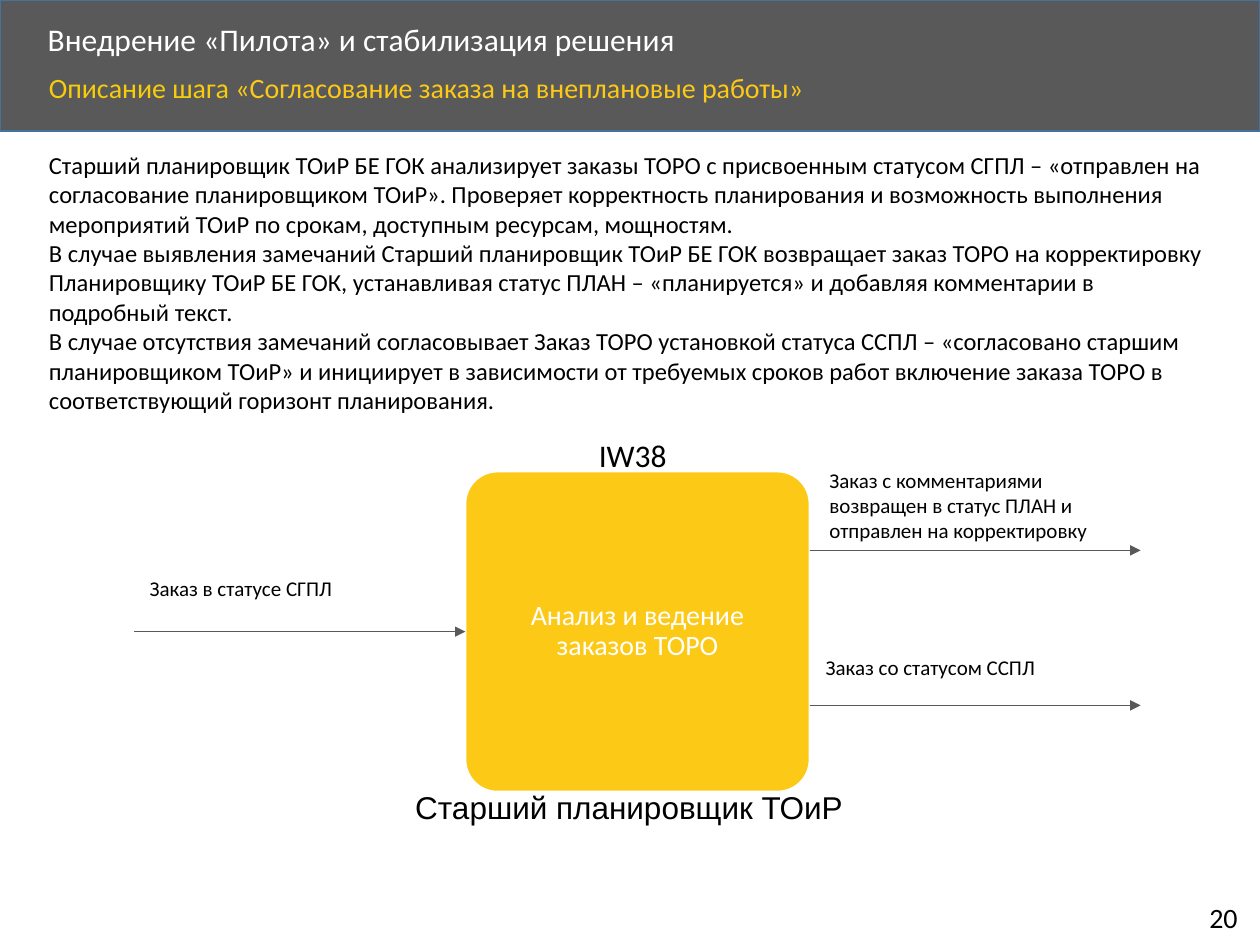
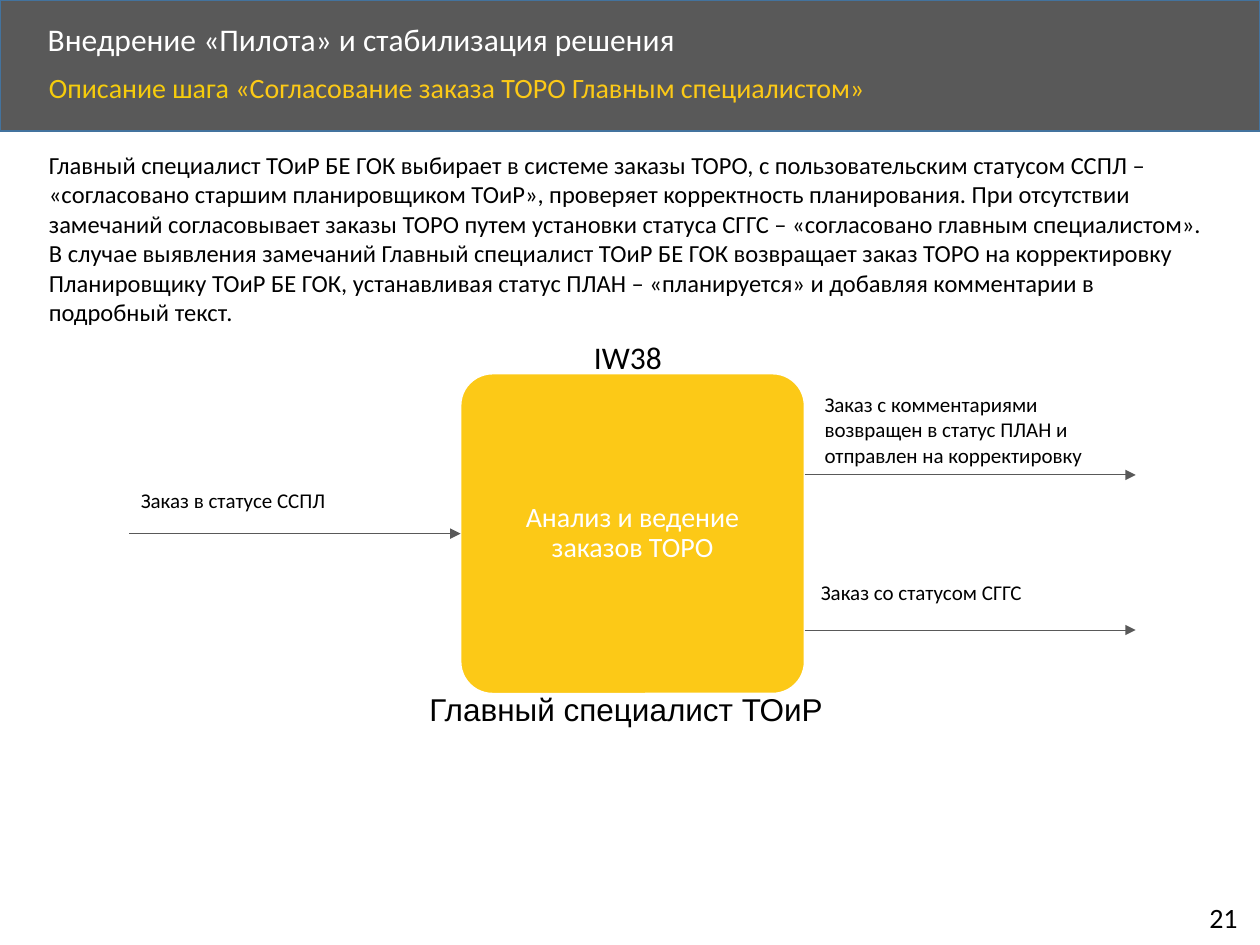
from dataclasses import dataclass

from lxml import etree
from pptx import Presentation
from pptx.dml.color import RGBColor
from pptx.enum.shapes import MSO_CONNECTOR, MSO_SHAPE
from pptx.enum.text import MSO_ANCHOR, PP_ALIGN
from pptx.oxml.ns import qn
from pptx.util import Pt

RECTANGLE, ROUNDED = MSO_SHAPE.RECTANGLE, MSO_SHAPE.ROUNDED_RECTANGLE
STRAIGHT = MSO_CONNECTOR.STRAIGHT
TOP, MIDDLE = MSO_ANCHOR.TOP, MSO_ANCHOR.MIDDLE
CENTER = PP_ALIGN.CENTER
LEFT_SIDE = 1


@dataclass(frozen=True)
class Theme:
    grey: str = "595959"
    band_edge: str = "43739E"
    yellow: str = "FCC917"
    subtitle_yellow: str = "F6CC0C"
    white: str = "FFFFFF"
    black: str = "000000"
    font: str = "Calibri"
    caption_font: str = "Arial"
    heading: int = 18
    subtitle: int = 16
    body: int = 14
    label: int = 12


SECTION = "Внедрение «Пилота» и стабилизация решения"
STEP_PREFIX = "Описание шага "
PROCESS = "Анализ и ведение заказов ТОРО"
RETURNED = "Заказ с комментариями возвращен в статус ПЛАН и отправлен на корректировку"

# Process box and arrow sizes
BOX_W, BOX_H = 196.6, 182.9
ARROW_LENGTH = 189.2
OUTPUT_GAP = 88.6
LABEL_W = 185


class StepDeck:
    def __init__(self, theme):
        self.theme = theme
        self.deck = Presentation()
        self.deck.slide_width, self.deck.slide_height = Pt(720), Pt(540)
        self.page = None

    def new_page(self):
        self.page = self.deck.slides.add_slide(self.deck.slide_layouts[6])

    def fill_text(self, frame, paragraphs, size, color, font=None, line_spacing=None,
                  align=None):
        """Each paragraph is a string or a list of (text, colour) pairs."""
        for index, content in enumerate(paragraphs):
            para = frame.paragraphs[0] if index == 0 else frame.add_paragraph()
            for name, value in {"line_spacing": line_spacing, "alignment": align}.items():
                setattr(para, name, value)
            spans = [(content, color)] if isinstance(content, str) else content
            for text, span_color in spans:
                span = para.add_run()
                span.text = text
                span.font.name = font or self.theme.font
                span.font.size = Pt(size)
                span.font.color.rgb = RGBColor.from_string(span_color)

    def text(self, left, top, width, height, paragraphs, size, color=None,
             anchor=TOP, wrap=True, **style):
        box = self.page.shapes.add_textbox(Pt(left), Pt(top), Pt(width), Pt(height))
        frame = box.text_frame
        frame.word_wrap, frame.vertical_anchor = wrap, anchor
        self.fill_text(frame, paragraphs, size, color or self.theme.black, **style)

    def shape(self, kind, left, top, width, height, fill, line):
        box = self.page.shapes.add_shape(kind, Pt(left), Pt(top), Pt(width), Pt(height))
        box.shadow.inherit = False
        box.fill.solid()
        box.fill.fore_color.rgb = RGBColor.from_string(fill)
        box.line.color.rgb = RGBColor.from_string(line)
        box.line.width = Pt(1)
        return box

    def arrow(self, left, y, target=None):
        arrow = self.page.shapes.add_connector(
            STRAIGHT, Pt(left), Pt(y), Pt(left + ARROW_LENGTH), Pt(y))
        arrow.line.color.rgb = RGBColor.from_string(self.theme.grey)
        arrow.line.width = Pt(0.5)
        properties = arrow._element.spPr
        line = properties.find(qn("a:ln"))
        etree.SubElement(line, qn("a:tailEnd"), type="triangle")
        etree.SubElement(properties, qn("a:effectLst"))
        if target is not None:
            arrow.end_connect(target, LEFT_SIDE)

    def label(self, left, top, height, text):
        self.text(left, top, LABEL_W, height, [text], self.theme.label)

    def header(self, step_name, number):
        theme = self.theme
        self.shape(RECTANGLE, 0, 0, 720, 74.9, theme.grey, theme.band_edge)
        self.text(20.2, 10, 581, 27.4, [SECTION], theme.heading, theme.white,
                  anchor=MIDDLE, line_spacing=0.9)
        step = [(STEP_PREFIX, theme.subtitle_yellow), (step_name, theme.yellow)]
        self.text(20.9, 38.9, 623, 32.4, [step], theme.subtitle, line_spacing=0.9)
        self.text(684, 511.2, 33.1, 26.6, [str(number)], theme.subtitle, wrap=False)

    def process(self, left, top):
        theme = self.theme
        box = self.shape(ROUNDED, left, top, BOX_W, BOX_H, theme.yellow, theme.white)
        box.adjustments[0] = 0.1
        frame = box.text_frame
        frame.word_wrap, frame.vertical_anchor = True, MIDDLE
        for side in ("left", "top", "right", "bottom"):
            setattr(frame, f"margin_{side}", Pt(5))
        self.fill_text(frame, [PROCESS], theme.subtitle, theme.white,
                       line_spacing=0.9, align=CENTER)
        return box

    def step_page(self, number, name, body, body_height, box_at, source,
                  source_at, first_output, result, role, role_left, role_width):
        theme = self.theme
        left, top = box_at
        right = left + BOX_W
        self.new_page()
        self.header(name, number)
        self.text(20.9, 82.1, 681.1, body_height, body, theme.body)

        # Process box with its transaction and role
        box = self.process(left, top)
        self.text(left + 69.1, top - 23.8, 54, 28.8, ["IW38"], theme.heading, wrap=False)
        self.text(role_left, top + 177.4, role_width, 28.8, [role], theme.heading,
                  font=theme.caption_font)

        # Incoming order
        self.arrow(left - ARROW_LENGTH, top + BOX_H / 2, box)
        self.label(*source_at, 21.6, source)

        # Outgoing orders
        returned_y = top + first_output
        result_y = returned_y + OUTPUT_GAP
        for y in (returned_y, result_y):
            self.arrow(right, y)
        self.label(right + 4.3, returned_y - 51.1, 51.1, RETURNED)
        self.label(right + 2.2, result_y - 32.4, 21.6, result)


STEPS = [
    dict(
        number=20,
        name="«Согласование заказа на внеплановые работы»",
        body=[
            "Старший планировщик ТОиР БЕ ГОК анализирует заказы ТОРО с присвоенным "
            "статусом СГПЛ – «отправлен на согласование планировщиком ТОиР». Проверяет "
            "корректность планирования и возможность выполнения мероприятий ТОиР по "
            "срокам, доступным ресурсам, мощностям.",
            "В случае выявления замечаний Старший планировщик ТОиР БЕ ГОК возвращает "
            "заказ ТОРО на корректировку Планировщику ТОиР БЕ ГОК, устанавливая статус "
            "ПЛАН – «планируется» и добавляя комментарии в подробный текст.",
            "В случае отсутствия замечаний согласовывает Заказ ТОРО установкой статуса "
            "ССПЛ – «согласовано старшим планировщиком ТОиР» и инициирует в зависимости "
            "от требуемых сроков работ включение заказа ТОРО в соответствующий горизонт "
            "планирования.",
        ],
        body_height=177.1, box_at=(266, 269.5),
        source="Заказ в статусе СГПЛ", source_at=(78.5, 325.4),
        first_output=45, result="Заказ со статусом ССПЛ",
        role="Старший планировщик ТОиР", role_left=230.2, role_width=260,
    ),
    dict(
        number=21,
        name="«Согласование заказа ТОРО Главным специалистом»",
        body=[
            "Главный специалист ТОиР БЕ ГОК выбирает в системе заказы ТОРО, с "
            "пользовательским статусом ССПЛ – «согласовано старшим планировщиком ТОиР», "
            "проверяет корректность планирования. При отсутствии замечаний согласовывает "
            "заказы ТОРО путем установки статуса СГГС – «согласовано главным "
            "специалистом».",
            "В случае выявления замечаний Главный специалист ТОиР БЕ ГОК возвращает "
            "заказ ТОРО на корректировку Планировщику ТОиР БЕ ГОК, устанавливая статус "
            "ПЛАН – «планируется» и добавляя комментарии в подробный текст.",
        ],
        body_height=108.7, box_at=(263.2, 213.5),
        source="Заказ в статусе ССПЛ", source_at=(73.4, 275),
        first_output=57.9, result="Заказ со статусом СГГС",
        role="Главный специалист ТОиР", role_left=238.3, role_width=242,
    ),
]


def main():
    steps = StepDeck(Theme())
    for step in STEPS:
        steps.step_page(**step)
    steps.deck.save("out.pptx")


if __name__ == "__main__":
    main()
